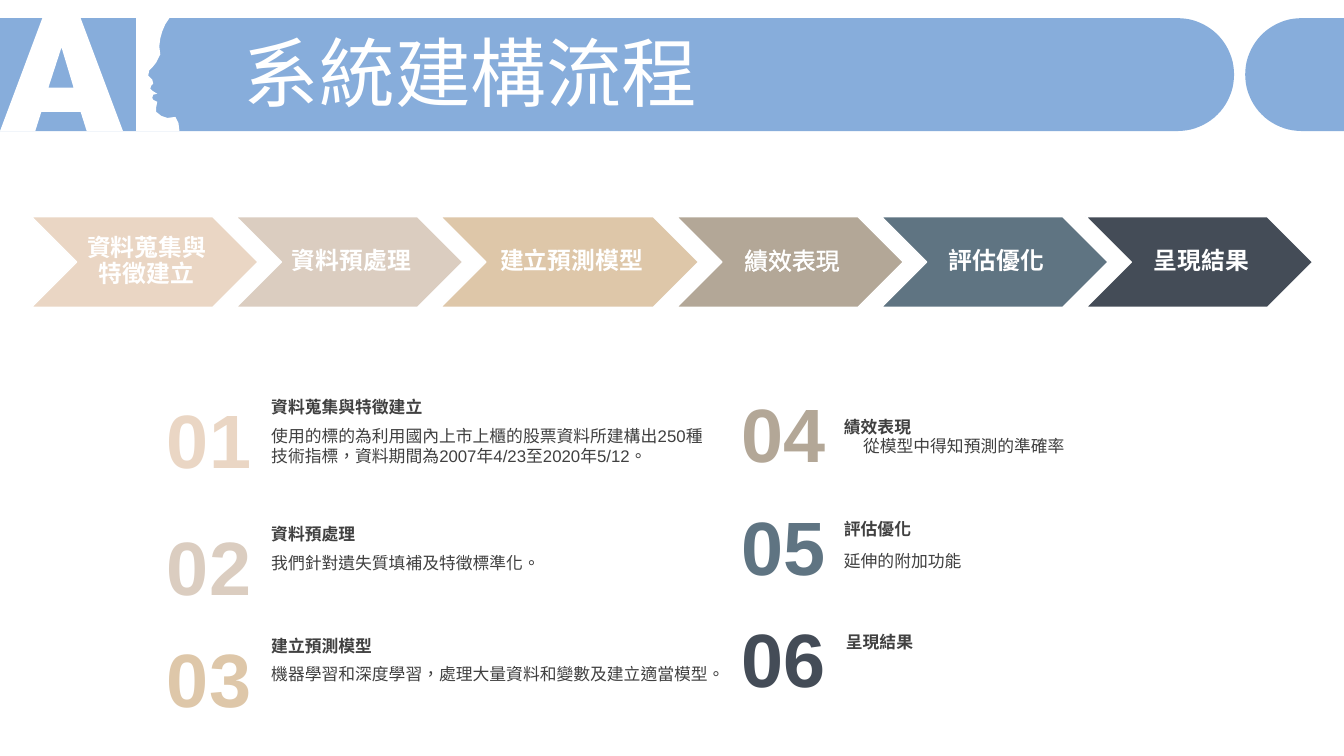
"""Build the slide that shows the six steps of the system workflow."""
from dataclasses import dataclass
from math import cos, pi, sin

from lxml.etree import SubElement
from pptx import Presentation
from pptx.dml.color import RGBColor
from pptx.enum.shapes import MSO_SHAPE
from pptx.enum.text import MSO_ANCHOR, PP_ALIGN
from pptx.oxml.ns import qn
from pptx.util import Inches, Pt

WHITE, BLUE, GRAY = "FFFFFF", "87ADDB", "404040"
CHINESE_FONT = "Noto Sans CJK TC"
BANNER_TOP, BANNER_BOTTOM = 0.18, 1.3
CHEVRON_TOP, CHEVRON_HEIGHT, CHEVRON_OVERLAP = 2.15, 0.9, 0.22

Point = tuple[float, float]


@dataclass
class Step:
    name: str
    color: str
    number_right: float
    number_top: float
    heading_left: float
    heading_top: float
    detail: str = ""
    detail_left: float = 0
    detail_top: float = 0
    chevron_width: float = 2.25
    outlined: bool = False


STEPS = [
    Step("資料蒐集與特徵建立", "EAD6C4", 2.49, 3.89, 2.69, 3.89,
         "使用的標的為利用國內上市上櫃的股票資料所建構出250種技術指標，"
         "資料期間為2007年4/23至2020年5/12。", 2.69, 4.17),
    Step("資料預處理", "DBCDC0", 2.49, 5.15, 2.69, 5.15,
         "我們針對遺失質填補及特徵標準化。", 2.69, 5.43),
    Step("建立預測模型", "DEC7A9", 2.49, 6.26, 2.69, 6.26,
         "機器學習和深度學習，處理大量資料和變數及建立適當模型。", 2.69, 6.54,
         chevron_width=2.56),
    Step("績效表現", "B3A797", 8.19, 3.83, 8.37, 4.08,
         "從模型中得知預測的準確率", 8.56, 4.27, outlined=True),
    Step("評估優化", "5F7482", 8.19, 4.95, 8.37, 5.1,
         "延伸的附加功能", 8.37, 5.41),
    Step("呈現結果", "444C57", 8.19, 6.07, 8.39, 6.22),
]

LETTER_A = [(0.42, 0.18), (0.8, 0.18), (1.22, 1.3), (0.86, 1.3),
            (0.8, 1.11), (0.41, 1.11), (0.35, 1.3), (0, 1.3)]
LETTER_A_HOLE = [(0.61, 0.47), (0.48, 0.87), (0.73, 0.87)]
FACE = [(1.35, 0.18), (1.68, 0.18), (1.64, 0.24), (1.61, 0.31), (1.59, 0.38),
        (1.58, 0.46), (1.59, 0.54), (1.55, 0.62), (1.51, 0.67), (1.48, 0.7),
        (1.47, 0.75), (1.51, 0.79), (1.52, 0.83), (1.5, 0.85), (1.49, 0.88),
        (1.51, 0.9), (1.56, 0.93), (1.52, 0.94), (1.51, 0.97), (1.52, 0.99),
        (1.56, 1.01), (1.55, 1.06), (1.55, 1.11), (1.6, 1.15), (1.66, 1.17),
        (1.74, 1.16), (1.77, 1.22), (1.78, 1.3), (1.35, 1.3)]


def rgb(color: str) -> RGBColor:
    return RGBColor.from_string(color)


def write(shape, text: str, *, size: float, color: str, font: str = "Arial",
          asian_font: str = CHINESE_FONT, bold: bool = False,
          align=PP_ALIGN.LEFT, anchor=MSO_ANCHOR.MIDDLE,
          margins: tuple = (0, 0.05, 0.1, 0.05),
          line_spacing: float = 1.0, outlined: bool = False) -> None:
    frame = shape.text_frame
    frame.word_wrap = True
    frame.vertical_anchor = anchor
    (frame.margin_left, frame.margin_top,
     frame.margin_right, frame.margin_bottom) = map(Inches, margins)
    para = frame.paragraphs[0]
    para.alignment = align
    para.line_spacing = line_spacing
    span = para.add_run()
    span.text = text
    span.font.size = Pt(size)
    span.font.bold = bold
    span.font.name = font
    span.font.color.rgb = rgb(color)
    properties = span.font._element
    properties.set("lang", "zh-TW")
    SubElement(properties, qn("a:ea")).set("typeface", asian_font)
    if outlined:
        outline = SubElement(properties, qn("a:ln"), w=str(Pt(0.75)))
        fill = SubElement(outline, qn("a:solidFill"))
        SubElement(fill, qn("a:srgbClr"), val=color)
        properties.insert(0, outline)


def add_text(page, left: float, top: float, width: float, height: float,
             text: str, **style) -> None:
    box = page.shapes.add_textbox(*map(Inches, (left, top, width, height)))
    write(box, text, **style)


def add_outline(page, contours: list[list[Point]], color: str) -> None:
    units = [[(x * 1000, y * 1000) for x, y in contour] for contour in contours]
    builder = page.shapes.build_freeform(*units[0][0], scale=Inches(1) / 1000)
    builder.add_line_segments(units[0][1:], close=True)
    for contour in units[1:]:
        builder.move_to(*contour[0])
        builder.add_line_segments(contour[1:], close=True)
    shape = builder.convert_to_shape()
    shape.shadow.inherit = False
    shape.fill.solid()
    shape.fill.fore_color.rgb = rgb(color)
    shape.line.fill.background()


def rounded_bar(flat_x: float, round_x: float) -> list[Point]:
    radius = (BANNER_BOTTOM - BANNER_TOP) / 2
    side = 1 if round_x > flat_x else -1
    angles = [pi * i / 40 - pi / 2 for i in range(41)]
    arc = [(round_x + side * radius * (cos(a) - 1),
            BANNER_TOP + radius * (1 + sin(a))) for a in angles]
    return [(flat_x, BANNER_TOP), *arc, (flat_x, BANNER_BOTTOM)]


def add_banner(page) -> None:
    add_outline(page, [rounded_bar(0, 12.24)], BLUE)
    add_outline(page, [LETTER_A, LETTER_A_HOLE, FACE], WHITE)
    add_outline(page, [rounded_bar(13.33, 12.35)], BLUE)
    add_text(page, 2.32, 0.37, 10.69, 0.79, "系統建構流程", size=54,
             color=WHITE, font=CHINESE_FONT, line_spacing=0.9,
             margins=(0.1, 0.05, 0.1, 0.05))


def add_chevron(page, step: Step, left: float) -> None:
    chevron = page.shapes.add_shape(
        MSO_SHAPE.CHEVRON, Inches(left), Inches(CHEVRON_TOP),
        Inches(step.chevron_width), Inches(CHEVRON_HEIGHT))
    chevron.shadow.inherit = False
    chevron.fill.solid()
    chevron.fill.fore_color.rgb = rgb(step.color)
    chevron.line.color.rgb = rgb(WHITE)
    chevron.line.width = Pt(1)
    write(chevron, step.name, size=17, color=WHITE, font="Noto Sans CJK SC",
          asian_font="Noto Sans CJK SC", bold=not step.outlined,
          align=PP_ALIGN.CENTER, margins=(0.07, 0.02, 0.03, 0.02),
          line_spacing=0.9, outlined=step.outlined)


def add_description(page, step: Step, number: int) -> None:
    add_text(page, step.number_right - 0.94, step.number_top, 0.94, 0.91,
             f"{number:02}", size=54, color=step.color, bold=True,
             align=PP_ALIGN.RIGHT, margins=(0, 0, 0, 0))
    add_text(page, step.heading_left, step.heading_top, 4.45, 0.3, step.name,
             size=12, color=GRAY, bold=True)
    if step.detail:
        add_text(page, step.detail_left, step.detail_top, 4.45, 0.3,
                 step.detail, size=12, color=GRAY, anchor=MSO_ANCHOR.TOP)


def main() -> None:
    deck = Presentation()
    deck.slide_width, deck.slide_height = Inches(13.33), Inches(7.5)
    page = deck.slides.add_slide(deck.slide_layouts[6])
    add_banner(page)
    left = 0.31
    for number, step in enumerate(STEPS, start=1):
        add_chevron(page, step, left)
        add_description(page, step, number)
        left += step.chevron_width - CHEVRON_OVERLAP
    deck.save("out.pptx")


if __name__ == "__main__":
    main()
